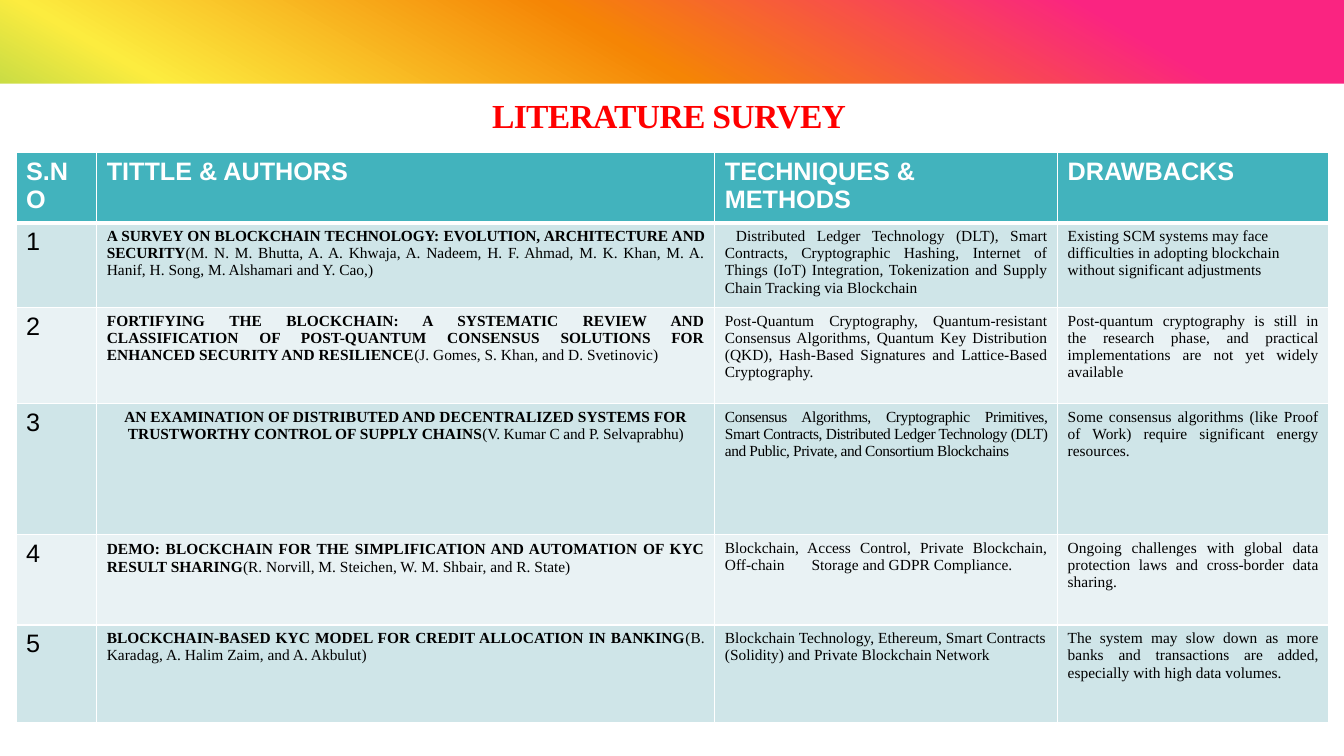
import pptx
import pptx.dml.color
import pptx.enum.shapes
import pptx.enum.text
import pptx.oxml.ns
import pptx.util
from lxml import etree

Inches, Pt = pptx.util.Inches, pptx.util.Pt
RGBColor = pptx.dml.color.RGBColor
ALIGN = pptx.enum.text.PP_ALIGN
LEFT, CENTER, JUSTIFY = ALIGN.LEFT, ALIGN.CENTER, ALIGN.JUSTIFY
qn = pptx.oxml.ns.qn

WHITE = RGBColor(0xFF, 0xFF, 0xFF)
BLACK = RGBColor(0, 0, 0)
RED = RGBColor(0xFF, 0, 0)
TEAL = RGBColor(0x42, 0xB3, 0xBD)
BANDS = [RGBColor(0xCF, 0xE5, 0xE8), RGBColor(0xE9, 0xF2, 0xF4)]
RAINBOW = [(10, RGBColor(0xFA, 0x24, 0x81)), (30, RGBColor(0xF5, 0x85, 0x05)),
           (50, RGBColor(0xFC, 0xEC, 0x3F)), (70, RGBColor(0x51, 0xB8, 0x51)),
           (90, TEAL)]
SERIF, SANS = "Times New Roman", "Arial"

TITLE = "LITERATURE SURVEY"
HEADERS = ["S.NO", "TITTLE & AUTHORS", "TECHNIQUES & METHODS", "DRAWBACKS"]
# Each paper: (title, authors), techniques, drawbacks
PAPERS = [
    (("A SURVEY ON BLOCKCHAIN TECHNOLOGY: EVOLUTION, ARCHITECTURE AND SECURITY",
      "(M. N. M. Bhutta, A. A. Khwaja, A. Nadeem, H. F. Ahmad, M. K. Khan, "
      "M. A. Hanif, H. Song, M. Alshamari and Y. Cao,)"),
     "Distributed Ledger Technology (DLT), Smart Contracts, Cryptographic Hashing, "
     "Internet of Things (IoT) Integration, Tokenization and Supply Chain Tracking "
     "via Blockchain",
     "Existing SCM systems may face difficulties in adopting blockchain without "
     "significant adjustments"),
    (("FORTIFYING THE BLOCKCHAIN: A SYSTEMATIC REVIEW AND CLASSIFICATION OF "
      "POST-QUANTUM CONSENSUS SOLUTIONS FOR ENHANCED SECURITY AND RESILIENCE",
      "(J. Gomes, S. Khan, and D. Svetinovic)"),
     "Post-Quantum Cryptography, Quantum-resistant Consensus Algorithms, Quantum Key "
     "Distribution (QKD), Hash-Based Signatures and Lattice-Based Cryptography.",
     "Post-quantum cryptography is still in the research phase, and practical "
     "implementations are not yet widely available"),
    (("AN EXAMINATION OF DISTRIBUTED AND DECENTRALIZED SYSTEMS FOR TRUSTWORTHY "
      "CONTROL OF SUPPLY CHAINS", "(V. Kumar C and P. Selvaprabhu)"),
     "Consensus Algorithms, Cryptographic Primitives, Smart Contracts, Distributed "
     "Ledger Technology (DLT) and Public, Private, and Consortium Blockchains",
     "Some consensus algorithms (like Proof of Work) require significant energy "
     "resources."),
    (("DEMO: BLOCKCHAIN FOR THE SIMPLIFICATION AND AUTOMATION OF KYC RESULT SHARING",
      "(R. Norvill, M. Steichen, W. M. Shbair, and R. State)"),
     "Blockchain, Access Control, Private Blockchain, Off-chain\tStorage and GDPR "
     "Compliance.",
     "Ongoing challenges with global data protection laws and cross-border data "
     "sharing."),
    (("BLOCKCHAIN-BASED KYC MODEL FOR CREDIT ALLOCATION IN BANKING",
      "(B. Karadag, A. Halim Zaim, and A. Akbulut)"),
     "Blockchain Technology, Ethereum, Smart Contracts (Solidity) and Private "
     "Blockchain Network",
     "The system may slow down as more banks and transactions are added, especially "
     "with high data volumes."),
]
# Exceptions by (paper number, column)
ALIGNMENTS = {(1, 3): LEFT, (3, 1): CENTER, (5, 2): LEFT}
SPACINGS = {(1, 1): [-0.1, 0], (3, 1): [0, -0.1], (3, 2): [-0.3]}

COLUMN_WIDTHS = [0.8, 6.13, 3.4, 2.69]
ROW_HEIGHTS = [0.69, 0.84, 0.95, 1.3, 0.9, 0.97]
TABLE_LEFT, TABLE_TOP = 0.16, 1.51


def add_panel(page, top, height):
    panel = page.shapes.add_shape(pptx.enum.shapes.MSO_SHAPE.RECTANGLE, 0, Inches(top),
                                  Inches(13.33), Inches(height))
    panel.shadow.inherit = False
    panel.line.fill.background()
    return panel


def fill_rainbow(shape):
    shape.fill.gradient()
    shape.fill.gradient_angle = 240
    stops = shape._element.spPr.find(qn("a:gradFill")).find(qn("a:gsLst"))
    for stop in list(stops):
        stops.remove(stop)
    for percent, color in RAINBOW:
        stop = etree.SubElement(stops, qn("a:gs"), pos=str(percent * 1000))
        etree.SubElement(stop, qn("a:srgbClr"), val=str(color))


def style(para, size, name, color, bold=None, align=LEFT):
    para.alignment = align
    para.font.size, para.font.name = Pt(size), name
    para.font.color.rgb, para.font.bold = color, bold


def add_span(para, text, spacing=0):
    span = para.add_run()
    span.text = text
    if spacing:
        span._r.get_or_add_rPr().set("spc", str(round(spacing * 100)))
    return span


def dress_cell(cell, row, color):
    """Draw white borders, thicker under the header row, then the fill."""
    tc_pr = cell._tc.get_or_add_tcPr()
    widths = {"lnL": 1, "lnR": 1, "lnT": 3 if row == 1 else 1, "lnB": 3 if row == 0 else 1}
    for side, width in widths.items():
        border = etree.SubElement(tc_pr, qn("a:" + side), w=str(Pt(width)))
        solid = etree.SubElement(border, qn("a:solidFill"))
        etree.SubElement(solid, qn("a:srgbClr"), val=str(WHITE))
    cell.fill.solid()
    cell.fill.fore_color.rgb = color


def fill_paper_cell(para, number, column, content):
    parts = content if column == 1 else (content,)
    spacings = SPACINGS.get((number, column), [0] * len(parts))
    spans = [add_span(para, text, gap) for text, gap in zip(parts, spacings)]
    if column == 1:
        spans[0].font.bold = True
    properties = para._p.get_or_add_pPr()
    if (number, column) == (1, 2):
        properties.set("indent", str(Inches(0.11)))
    if "\t" in parts[0]:
        tabs = etree.SubElement(properties, qn("a:tabLst"))
        etree.SubElement(tabs, qn("a:tab"), pos=str(Inches(0.86)), algn="l")
    if (number, column) == (4, 1):
        para.line_spacing, para.space_after = 1.07, Pt(8)
    style(para, 11, SERIF, BLACK, align=ALIGNMENTS.get((number, column), JUSTIFY))


def add_survey(page):
    table = page.shapes.add_table(
        len(ROW_HEIGHTS), len(COLUMN_WIDTHS), Inches(TABLE_LEFT), Inches(TABLE_TOP),
        Inches(sum(COLUMN_WIDTHS)), Inches(sum(ROW_HEIGHTS))).table
    for column, width in zip(table.columns, COLUMN_WIDTHS):
        column.width = Inches(width)
    for row, height in zip(table.rows, ROW_HEIGHTS):
        row.height = Inches(height)

    rows = [HEADERS] + [(str(n), *paper) for n, paper in enumerate(PAPERS, 1)]
    for number, contents in enumerate(rows):
        for column, content in enumerate(contents):
            cell = table.cell(number, column)
            dress_cell(cell, number, BANDS[(number - 1) % 2] if number else TEAL)
            para = cell.text_frame.paragraphs[0]
            if number and column:
                fill_paper_cell(para, number, column, content)
            else:
                add_span(para, content)
                style(para, 18, SANS, BLACK if number else WHITE, bold=number == 0)


def main():
    deck = pptx.Presentation()
    deck.slide_width, deck.slide_height = Inches(13.33), Inches(7.5)
    page = deck.slides.add_slide(deck.slide_layouts[6])

    fill_rainbow(add_panel(page, 0, 7.5))
    sheet = add_panel(page, 0.83, 6.67)
    sheet.fill.solid()
    sheet.fill.fore_color.rgb = WHITE

    box = page.shapes.add_textbox(Inches(4.01), Inches(0.94), Inches(5.25), Inches(0.4))
    frame = box.text_frame
    frame.word_wrap = True
    frame.margin_left = frame.margin_top = frame.margin_right = frame.margin_bottom = 0
    heading = frame.paragraphs[0]
    add_span(heading, TITLE, -0.5)
    style(heading, 24, SERIF, RED, bold=True, align=CENTER)

    add_survey(page)
    deck.save("out.pptx")


if __name__ == "__main__":
    main()
